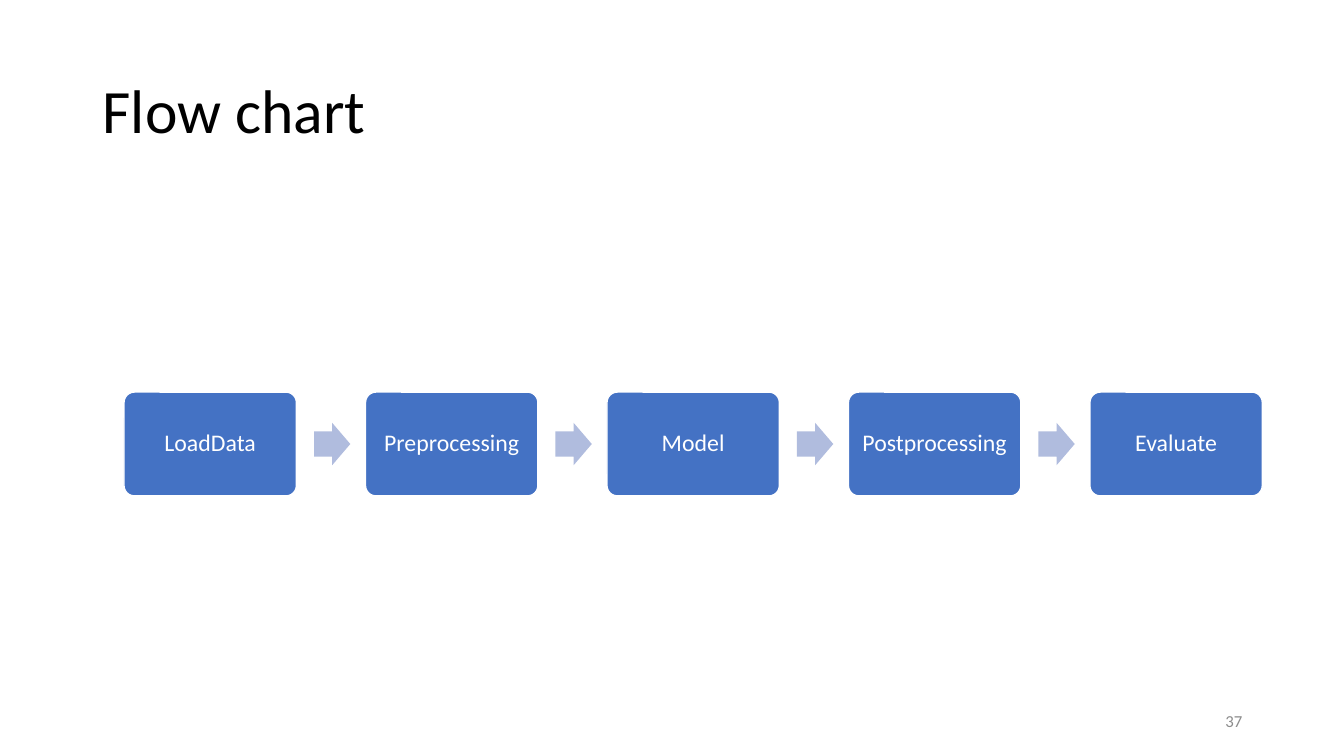
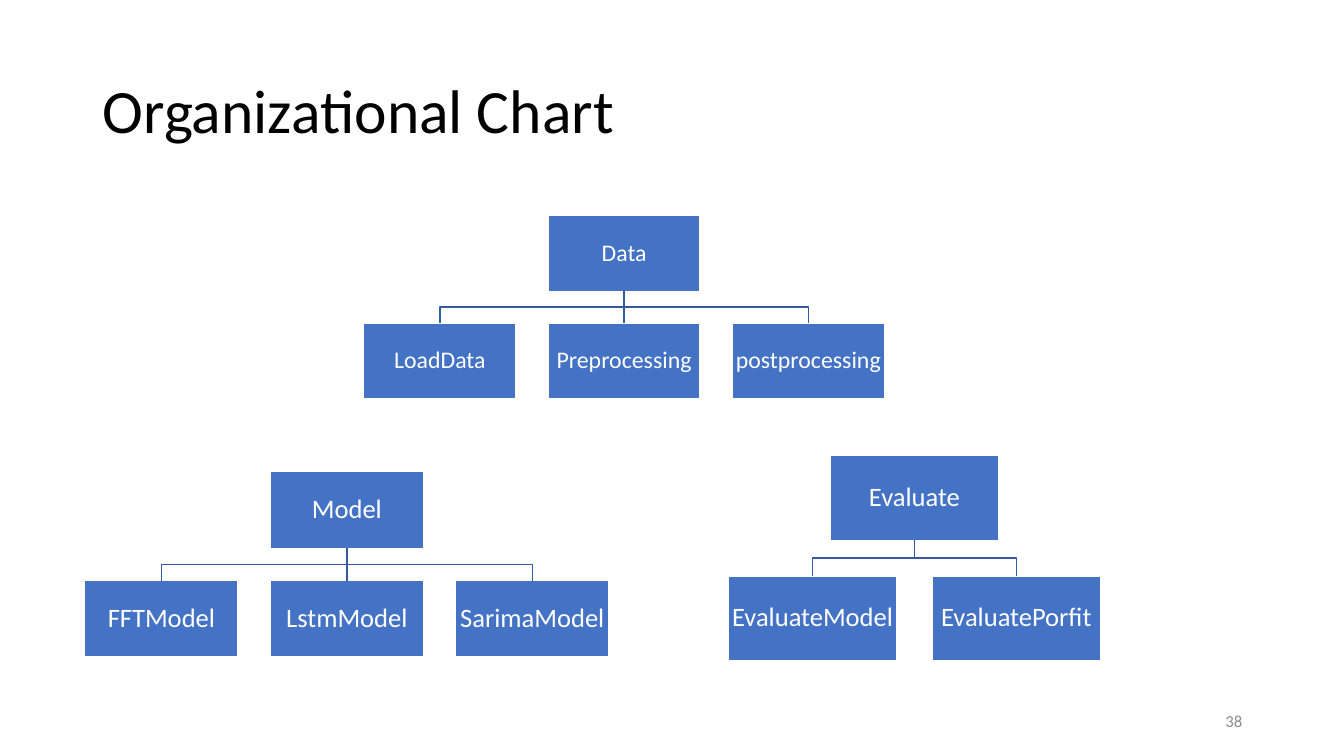
from lxml.etree import SubElement
from pptx import Presentation
from pptx.dml.color import RGBColor
from pptx.enum.shapes import MSO_CONNECTOR, MSO_SHAPE
from pptx.enum.text import MSO_ANCHOR, PP_ALIGN
from pptx.oxml.ns import qn
from pptx.util import Inches, Pt

FONT = "Calibri"
BLACK = RGBColor(0x00, 0x00, 0x00)
WHITE = RGBColor(0xFF, 0xFF, 0xFF)
GRAY = RGBColor(0x8C, 0x8C, 0x8C)
BLUE = RGBColor(0x44, 0x72, 0xC4)
DARK_BLUE = RGBColor(0x36, 0x5B, 0x9D)
PALE_BLUE = RGBColor(0xB0, 0xBC, 0xDE)

FLOW_STEPS = ["LoadData", "Preprocessing", "Model", "Postprocessing", "Evaluate"]

# Center, top, box width, box height, text size, parent, children
TREES = [
    (6.19, 2.14, 1.51, 0.75, 17, "Data",
     ["LoadData", "Preprocessing", "postprocessing"]),
    (3.44, 4.68, 1.52, 0.76, 19, "Model",
     ["FFTModel", "LstmModel", "SarimaModel"]),
    (9.07, 4.52, 1.67, 0.84, 19, "Evaluate",
     ["EvaluateModel", "EvaluatePorfit"]),
]
SIBLING_GAP = 0.21  # share of box width
LEVEL_GAP = 0.42  # share of box height


def write_text(shape, text, size, color, align, spacing=0.9):
    frame = shape.text_frame
    frame.word_wrap = True
    frame.vertical_anchor = MSO_ANCHOR.MIDDLE
    para = frame.paragraphs[0]
    para.alignment = align
    para.line_spacing = spacing
    span = para.add_run()
    span.text = text
    span.font.name = FONT
    span.font.size = Pt(size)
    span.font.color.rgb = color


def set_margins(shape, margin):
    frame = shape.text_frame
    frame.margin_left = frame.margin_right = Inches(margin)
    frame.margin_top = frame.margin_bottom = Inches(margin)


def add_page(deck, title, number):
    """Add a blank slide with the shared title and page number."""
    page = deck.slides.add_slide(deck.slide_layouts[6])
    title_box = page.shapes.add_textbox(
        Inches(0.92), Inches(0.4), Inches(11.5), Inches(1.45))
    write_text(title_box, title, 44, BLACK, PP_ALIGN.LEFT)
    number_box = page.shapes.add_textbox(
        Inches(9.42), Inches(6.95), Inches(3), Inches(0.4))
    write_text(number_box, str(number), 12, GRAY, PP_ALIGN.RIGHT, 1.0)
    return page


def add_box(page, kind, left, top, width, height, text, size, margin):
    box = page.shapes.add_shape(
        kind, Inches(left), Inches(top), Inches(width), Inches(height))
    box.shadow.inherit = False
    box.fill.solid()
    box.fill.fore_color.rgb = BLUE
    box.line.color.rgb = WHITE
    box.line.width = Pt(1)
    set_margins(box, margin)
    write_text(box, text, size, WHITE, PP_ALIGN.CENTER)
    return box


def add_arrow(page, left, middle):
    width, height = 0.36, 0.42
    arrow = page.shapes.add_shape(
        MSO_SHAPE.RIGHT_ARROW, Inches(left), Inches(middle - height / 2),
        Inches(width), Inches(height))
    arrow.adjustments[0] = 0.6
    arrow.adjustments[1] = 0.5
    arrow.shadow.inherit = False
    arrow.fill.solid()
    arrow.fill.fore_color.rgb = PALE_BLUE
    arrow.line.fill.background()


def style_branch(branch):
    branch.line.color.rgb = DARK_BLUE
    branch.line.width = Pt(1)


def add_straight_branch(page, parent, child):
    branch = page.shapes.add_connector(MSO_CONNECTOR.STRAIGHT, 0, 0, 0, 0)
    branch.begin_connect(parent, 2)
    branch.end_connect(child, 0)
    style_branch(branch)
    SubElement(branch._element.spPr, qn("a:effectLst"))


def add_bent_branch(page, parent, child):
    start_x = parent.left + parent.width // 2
    start_y = parent.top + parent.height
    end_x = child.left + child.width // 2
    bend_y = (start_y + child.top) // 2
    builder = page.shapes.build_freeform(start_x, start_y)
    builder.add_line_segments(
        [(start_x, bend_y), (end_x, bend_y), (end_x, child.top)], close=False)
    branch = builder.convert_to_shape()
    branch.shadow.inherit = False
    branch.fill.background()
    style_branch(branch)


def add_flow(page, steps):
    left, top, width, height = 1.23, 3.89, 1.71, 1.03
    last_left = 10.81
    pitch = (last_left - left) / (len(steps) - 1)
    for index, step in enumerate(steps):
        step_left = left + index * pitch
        if index:
            add_arrow(page, step_left - 0.51, top + height / 2)
        box = add_box(page, MSO_SHAPE.ROUNDED_RECTANGLE, step_left, top,
                      width, height, step, 17, 0.07)
        box.adjustments[0] = 0.1


def add_tree(page, center, top, width, height, size, parent_name, child_names):
    def add_node(middle, node_top, name):
        return add_box(page, MSO_SHAPE.RECTANGLE, middle - width / 2, node_top,
                       width, height, name, size, 0.01)

    parent = add_node(center, top, parent_name)
    pitch = width * (1 + SIBLING_GAP)
    child_top = top + height * (1 + LEVEL_GAP)
    for index, name in enumerate(child_names):
        offset = index - (len(child_names) - 1) / 2
        child = add_node(center + offset * pitch, child_top, name)
        add_branch = add_bent_branch if offset else add_straight_branch
        add_branch(page, parent, child)


def main():
    deck = Presentation()
    deck.slide_width = Inches(13.33)
    deck.slide_height = Inches(7.5)
    add_flow(add_page(deck, "Flow chart", 37), FLOW_STEPS)
    chart_page = add_page(deck, "Organizational Chart", 38)
    for tree in TREES:
        add_tree(chart_page, *tree)
    deck.save("out.pptx")


if __name__ == "__main__":
    main()
